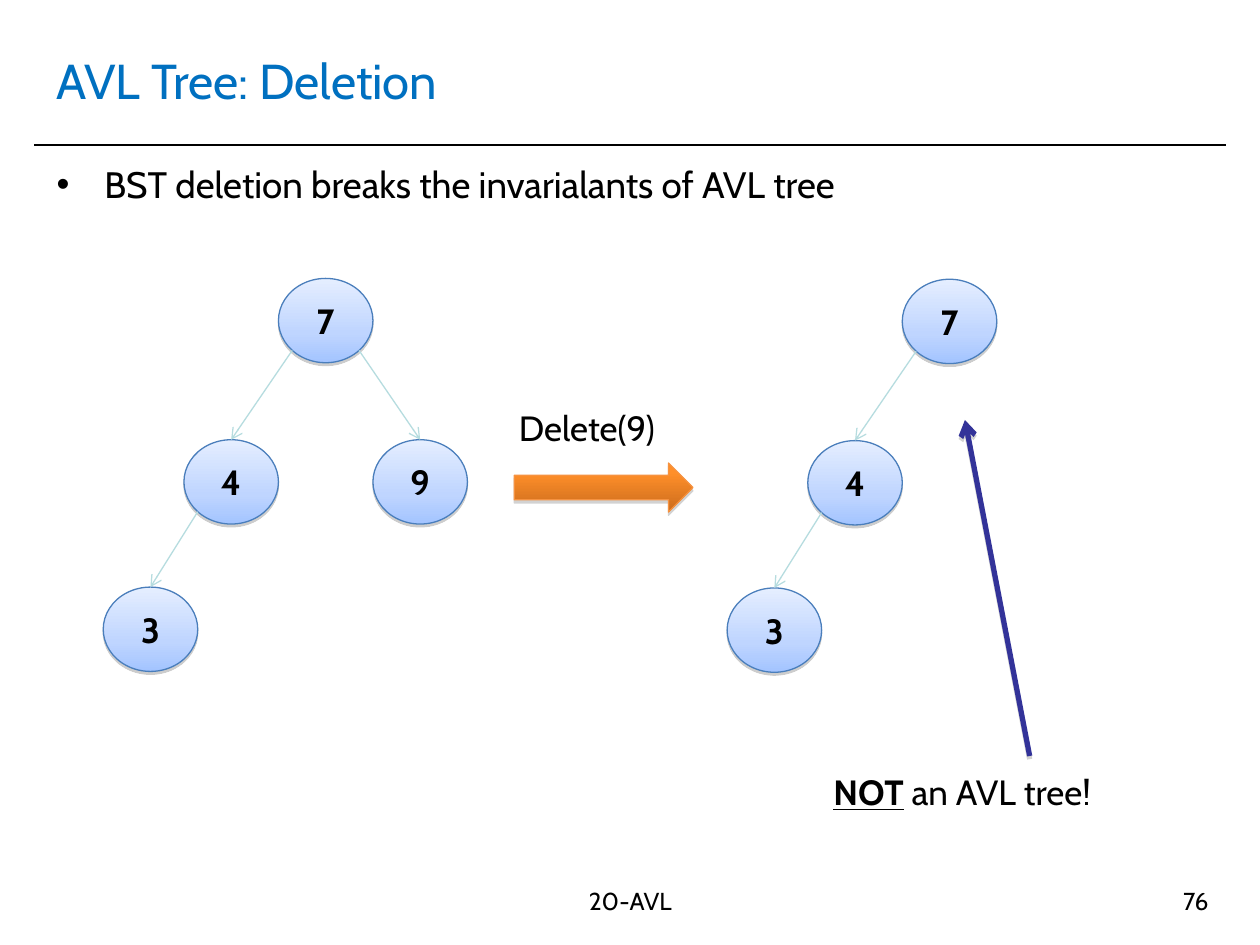
from math import sqrt

from lxml import etree
from pptx import Presentation
from pptx import util as u
from pptx.dml import color
from pptx.enum import shapes, text
from pptx.oxml import ns

FONT = "Cabin"
BLACK = "000000"
NODE_W, NODE_H = 54, 48.2
NODE_STOPS = [(0, "E5EEFF"), (65, "BFD5FF"), (100, "A3C4FF")]
ARROW_STOPS = [(0, "FF8F26"), (20, "FF8F2A"), (100, "CB6C1D")]
NODE_SHADOW = (38, 1.6)
ARROW_SHADOW = (35, 1.8)
OFFSETS = {"7": (0, 0), "4": (-54, 92.2), "3": (-100.1, 176.4), "9": (54, 92.2)}
EDGES = [("7", "4"), ("7", "9"), ("4", "3")]


def rgb(value):
    """Turn a hex string into a colour."""
    return color.RGBColor.from_string(value)


def points(*values):
    """Turn numbers into lengths in points."""
    return [u.Pt(value) for value in values]


def apply(target, **values):
    """Set several attributes on one object."""
    for name, value in values.items():
        setattr(target, name, value)


def child(parent, tag, **attributes):
    """Append a drawing element and return it."""
    return etree.SubElement(parent, ns.qn(tag), {k: str(v) for k, v in attributes.items()})


def set_shadow(shape, shadow=None):
    """Give a shape a downward shadow, or none at all."""
    effects = child(shape._element.spPr, "a:effectLst")
    if shadow:
        opacity, distance = shadow
        outer = child(effects, "a:outerShdw", blurRad=0, dist=u.Pt(distance),
                      dir=90 * 60000, rotWithShape=0)
        tint = child(outer, "a:srgbClr", val="808080")
        child(tint, "a:alpha", val=opacity * 1000)


def set_line(shape, hex_color, width):
    """Set the outline colour and width."""
    shape.line.color.rgb = rgb(hex_color)
    shape.line.width = u.Pt(width)


def set_gradient(shape, stops):
    """Fill a shape from top to bottom with colour stops."""
    shape.fill.gradient()
    shape.fill.gradient_angle = 270
    stop_list = shape._element.spPr.find(".//" + ns.qn("a:gsLst"))
    for old in list(stop_list):
        stop_list.remove(old)
    for position, value in stops:
        stop = child(stop_list, "a:gs", pos=position * 1000)
        child(stop, "a:srgbClr", val=value)


def write(frame, content, size, align="LEFT", anchor="TOP", wrap=True, hex_color=BLACK, bold=False):
    """Write one paragraph into a text frame and return it."""
    apply(frame, word_wrap=wrap, auto_size=text.MSO_AUTO_SIZE.NONE,
          vertical_anchor=getattr(text.MSO_ANCHOR, anchor))
    para = frame.paragraphs[0]
    para.alignment = getattr(text.PP_ALIGN, align)
    add_span(para, content, size, hex_color, bold=bold)
    return para


def add_span(para, content, size, hex_color=BLACK, **style):
    """Add a formatted run to a paragraph."""
    span = para.add_run()
    span.text = content
    apply(span.font, name=FONT, size=u.Pt(size), **style)
    span.font.color.rgb = rgb(hex_color)
    return span


def add_text(page, place, content, size, **options):
    """Add a text box and return its paragraph."""
    box = page.shapes.add_textbox(*points(*place))
    return write(box.text_frame, content, size, **options)


def add_bullet(para, indent):
    """Put a hanging round bullet on a paragraph."""
    props = para._p.get_or_add_pPr()
    props.set("marL", str(u.Pt(indent)))
    props.set("indent", str(u.Pt(-indent)))
    child(child(props, "a:buClr"), "a:srgbClr", val=BLACK)
    child(props, "a:buFont", typeface="Arial")
    child(props, "a:buChar", char="•")


def add_line(page, ends, hex_color, width, arrow=False, shadow=None):
    """Add a straight line, with an open arrowhead if asked."""
    line = page.shapes.add_connector(shapes.MSO_CONNECTOR.STRAIGHT, *points(*ends))
    set_line(line, hex_color, width)
    if arrow:
        child(line.line._get_or_add_ln(), "a:tailEnd", type="arrow")
    set_shadow(line, shadow)
    return line


def add_shape(page, kind, place, stops, line_color, shadow):
    """Add a gradient shape with a thin outline and a shadow."""
    shape = page.shapes.add_shape(kind, *points(*place))
    set_gradient(shape, stops)
    set_line(shape, line_color, 0.75)
    set_shadow(shape, shadow)
    return shape


def add_tree(page, left, top, keys):
    """Draw a binary tree whose root box starts at left, top."""
    corners = {key: (left + OFFSETS[key][0], top + OFFSETS[key][1]) for key in keys}
    nodes = {}
    for key, corner in corners.items():
        node = add_shape(page, shapes.MSO_SHAPE.OVAL, (*corner, NODE_W, NODE_H),
                         NODE_STOPS, "4A7EBB", NODE_SHADOW)
        write(node.text_frame, key, 20, align="CENTER", anchor="MIDDLE", bold=True)
        nodes[key] = node
    for parent, kid in EDGES:
        if kid not in keys:
            continue
        (x, y), (kid_x, kid_y) = corners[parent], corners[kid]
        side = 1 if kid_x > x else -1
        start = (x + NODE_W / 2 * (1 + side / sqrt(2)), y + NODE_H / 2 * (1 + 1 / sqrt(2)))
        edge = add_line(page, (*start, kid_x + NODE_W / 2, kid_y), "B6DCDF", 0.75, arrow=True)
        edge.end_connect(nodes[kid], 0)


def main():
    """Build the slide on deletion from an AVL tree."""
    deck = Presentation()
    apply(deck, slide_width=u.Pt(720), slide_height=u.Pt(540))
    page = deck.slides.add_slide(deck.slide_layouts[5])

    add_line(page, (19.6, 82.8, 700.4, 82.8), BLACK, 1)
    title = page.shapes.title
    apply(title, **dict(zip(("left", "top", "width", "height"), points(25.2, 15.2, 669, 61.2))))
    write(title.text_frame, "AVL Tree: Deletion", 28, anchor="MIDDLE", hex_color="0070C0")

    body = add_text(page, (25.2, 89, 669, 402),
                    "BST deletion breaks the invarialants of AVL tree", 21)
    add_bullet(body, 27.4)
    add_text(page, (241, 502.6, 238.4, 37.4), "20-AVL", 14, align="CENTER")
    add_text(page, (530, 502.6, 167.8, 37.4), "76", 14, align="RIGHT")

    add_tree(page, 159.1, 159.1, "7439")
    add_tree(page, 515.6, 159.6, "743")

    add_shape(page, shapes.MSO_SHAPE.RIGHT_ARROW, (293.8, 264.6, 102.2, 28),
              ARROW_STOPS, "F69240", ARROW_SHADOW)
    add_text(page, (289.4, 228.6, 98, 31.6), "Delete(9)", 20, wrap=False)

    add_line(page, (588.4, 432, 551.4, 240), "333399", 3, arrow=True, shadow=ARROW_SHADOW)
    verdict = add_text(page, (427.8, 437, 244, 31.6), "NOT", 20, align="CENTER", bold=True)
    verdict.runs[0].font.underline = True
    add_span(verdict, " an AVL tree!", 20)

    deck.save("out.pptx")


if __name__ == "__main__":
    main()
